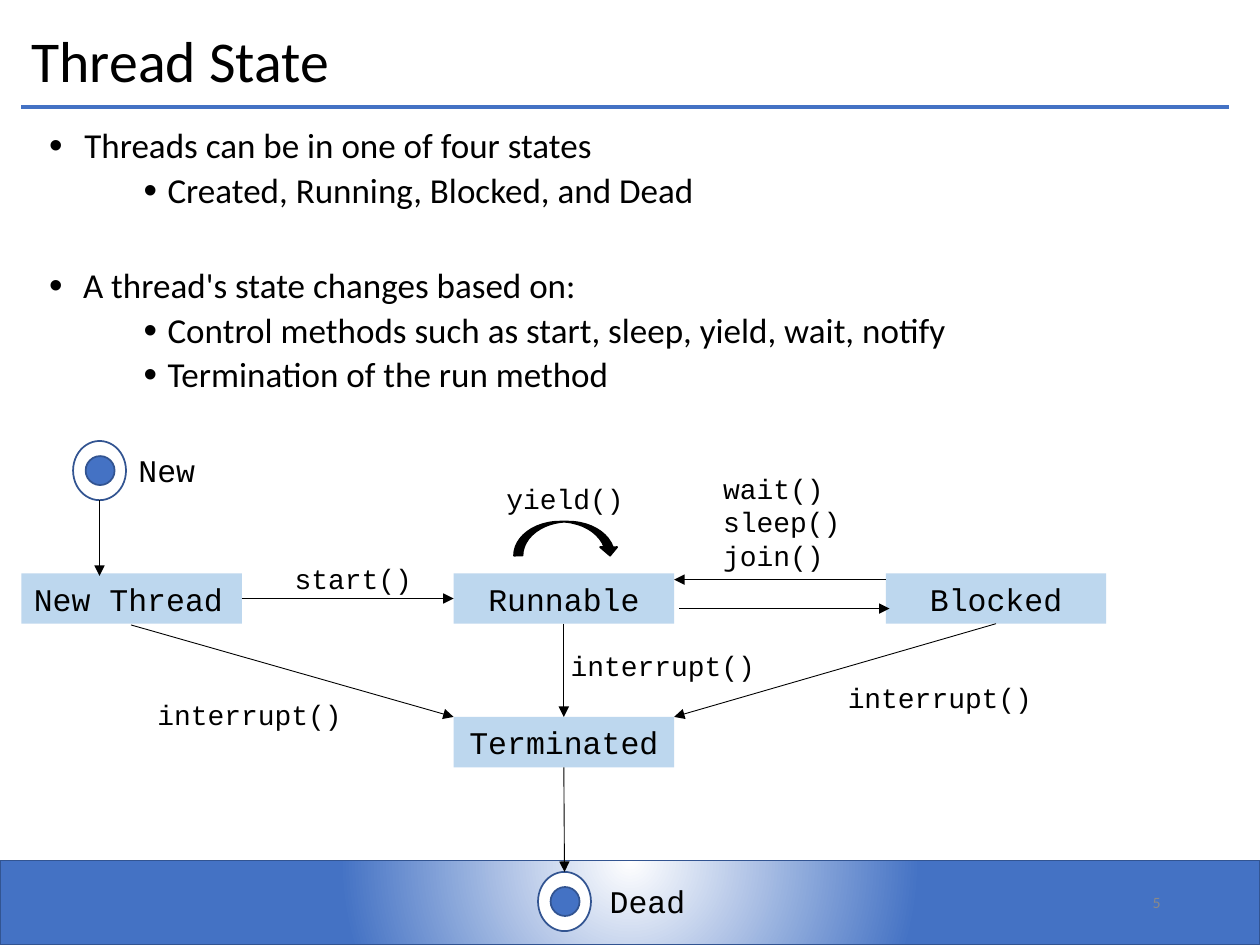
from typing import NamedTuple, Optional

from lxml import etree
from pptx import Presentation
from pptx.dml.color import RGBColor
from pptx.enum.shapes import MSO_CONNECTOR, MSO_SHAPE
from pptx.enum.text import MSO_ANCHOR, PP_ALIGN
from pptx.oxml import parse_xml
from pptx.oxml.ns import nsdecls, qn
from pptx.util import Pt

SCALE = 9144  # EMU per px, 100 px to the inch
RECT, RING = MSO_SHAPE.RECTANGLE, MSO_SHAPE.FLOWCHART_CONNECTOR
LOOP = MSO_SHAPE.CURVED_DOWN_ARROW
STRAIGHT = MSO_CONNECTOR.STRAIGHT
LEFT, CENTER, RIGHT = PP_ALIGN.LEFT, PP_ALIGN.CENTER, PP_ALIGN.RIGHT
TOP, MIDDLE = MSO_ANCHOR.TOP, MSO_ANCHOR.MIDDLE

BLACK = RGBColor(0x00, 0x00, 0x00)
WHITE = RGBColor(0xFF, 0xFF, 0xFF)
BLUE = RGBColor(0x44, 0x72, 0xC4)
NAVY = RGBColor(0x32, 0x54, 0x91)
PALE = RGBColor(0xBD, 0xD7, 0xEE)
GREY = RGBColor(0x89, 0x89, 0x89)
SANS, MONO = "Calibri", "Courier New"


class Box(NamedTuple):
    x: int
    y: int
    w: int
    h: int


class State(NamedTuple):
    name: str
    x: int
    y: int
    align: PP_ALIGN = CENTER


class Label(NamedTuple):
    lines: tuple
    box: Box
    size: int = 16


class Bullet(NamedTuple):
    text: str
    level: int
    margin: int
    hang: int
    before: float


class Arrow(NamedTuple):
    """Ends in px; a joint is a node name and the side it meets."""
    start: tuple
    end: tuple
    tail: Optional[tuple] = None
    head: Optional[tuple] = None


BULLETS = [
    Bullet("Threads can be in one of four states", 0, 28, 28, 7.5),
    Bullet("Created, Running, Blocked, and Dead", 2, 94, 19, 3.8),
    Bullet("A thread's state changes based on:", 0, 27, 27, 33),
    Bullet("Control methods such as start, sleep, yield, wait, notify", 2, 94, 19, 3.8),
    Bullet("Termination of the run method", 2, 94, 19, 3.8),
]
STATES = [
    State("New Thread", 17, 455, LEFT),
    State("Runnable", 360, 455),
    State("Blocked", 703, 455),
    State("Terminated", 360, 569),
]
DOTS = {"New": (58, 350), "Dead": (427, 692)}
ARROWS = [
    Arrow((79, 397), (79, 457)),
    Arrow((192, 475), (360, 475), ("New Thread", 3), ("Runnable", 1)),
    Arrow((539, 483), (706, 483)),
    Arrow((703, 460), (535, 460)),
    Arrow((790, 495), (535, 569), ("Blocked", 2)),
    Arrow((448, 495), (448, 569), ("Runnable", 2), ("Terminated", 0)),
    Arrow((104, 496), (360, 569)),
    Arrow((448, 609), (448, 692), ("Terminated", 2), ("Dead", 0)),
]
LABELS = [
    Label(("New",), Box(100, 353, 75, 40), 18),
    Label(("start()",), Box(224, 441, 142, 37)),
    Label(("wait()", "sleep()", "join()"), Box(564, 369, 142, 91)),
    Label(("yield()",), Box(392, 377, 142, 37)),
    Label(("interrupt()",), Box(663, 535, 179, 37)),
    Label(("interrupt()",), Box(443, 510, 179, 37)),
    Label(("interrupt()",), Box(115, 549, 179, 37)),
    Label(("Dead",), Box(474, 695, 90, 40), 18),
]


def px(*values: int) -> list:
    return [value * SCALE for value in values]


def add_run(para, text: str, size: float, font: str, color=BLACK) -> None:
    run = para.add_run()
    run.text = text
    run.font.size, run.font.name = Pt(size), font
    run.font.color.rgb = color


def add_shape(shapes, kind, box: Box, fill, line=None):
    shape = shapes.add_shape(kind, *px(*box))
    shape.shadow.inherit = False
    shape.fill.solid()
    shape.fill.fore_color.rgb = fill
    if line is None:
        shape.line.fill.background()
    else:
        shape.line.color.rgb, shape.line.width = line, Pt(1)
    return shape


def add_text(shapes, box: Box, anchor=TOP, inset: int = 10):
    frame = shapes.add_textbox(*px(*box)).text_frame
    frame.word_wrap, frame.vertical_anchor = True, anchor
    frame.margin_left = frame.margin_right = inset * SCALE
    return frame


def add_line(shapes, start: tuple, end: tuple, color, width: float):
    line = shapes.add_connector(STRAIGHT, *px(*start, *end))
    line.line.color.rgb, line.line.width = color, Pt(width)
    etree.SubElement(line._element.spPr, qn("a:effectLst"))
    return line


def add_arrow(shapes, arrow: Arrow, nodes: dict) -> None:
    line = add_line(shapes, arrow.start, arrow.end, BLACK, 0.5)
    etree.SubElement(line.line._get_or_add_ln(), qn("a:tailEnd"), type="triangle")
    if arrow.tail:
        line.begin_connect(nodes[arrow.tail[0]], arrow.tail[1])
    if arrow.head:
        line.end_connect(nodes[arrow.head[0]], arrow.head[1])


def add_dot(shapes, x: int, y: int):
    """Draw a ring with a filled core and return the ring."""
    group = shapes.add_group_shape().shapes
    ring = add_shape(group, RING, Box(x, y, 42, 47), WHITE, NAVY)
    add_shape(group, RING, Box(x + 10, y + 12, 23, 23), BLUE, NAVY)
    return ring


def add_state(shapes, state: State):
    shape = add_shape(shapes, RECT, Box(state.x, state.y, 175, 40), PALE)
    para = shape.text_frame.paragraphs[0]
    para.alignment = state.align
    add_run(para, state.name, 18, MONO)
    return shape


def add_label(shapes, label: Label) -> None:
    frame = add_text(shapes, label.box)
    for i, text in enumerate(label.lines):
        para = frame.add_paragraph() if i else frame.paragraphs[0]
        add_run(para, text, label.size, MONO)


def add_bullet(para, item: Bullet) -> None:
    para.level, para.line_spacing = item.level, 0.9
    para.space_before = Pt(item.before)
    props = para._p.get_or_add_pPr()
    props.set("marL", str(item.margin * SCALE))
    props.set("indent", str(-item.hang * SCALE))
    color = etree.SubElement(props, qn("a:buClr"))
    etree.SubElement(color, qn("a:srgbClr"), val=str(BLACK))
    etree.SubElement(props, qn("a:buSzPct"), val="110000")
    etree.SubElement(props, qn("a:buFont"), typeface="Arial")
    etree.SubElement(props, qn("a:buChar"), char="•")
    add_run(para, item.text, 20, SANS)


def add_footer(shapes) -> None:
    bar = add_shape(shapes, RECT, Box(0, 683, 1000, 67), BLUE, NAVY)
    glow = parse_xml(
        f'<a:gradFill {nsdecls("a")} rotWithShape="1"><a:gsLst>'
        f'<a:gs pos="0"><a:srgbClr val="{WHITE}"/></a:gs>'
        f'<a:gs pos="46000"><a:srgbClr val="{BLUE}"/></a:gs></a:gsLst>'
        '<a:path path="circle"><a:fillToRect l="50000" t="-80000" '
        'r="50000" b="180000"/></a:path></a:gradFill>')
    props = bar._element.spPr
    props.replace(props.find(qn("a:solidFill")), glow)
    para = add_text(shapes, Box(706, 696, 225, 40), MIDDLE).paragraphs[0]
    para.alignment = RIGHT
    add_run(para, "5", 9, SANS, GREY)


def main() -> None:
    deck = Presentation()
    deck.slide_width, deck.slide_height = px(1000, 750)
    shapes = deck.slides.add_slide(deck.slide_layouts[6]).shapes
    add_footer(shapes)
    title = add_text(shapes, Box(17, 17, 862, 68), MIDDLE, 8).paragraphs[0]
    title.line_spacing = 0.9
    add_run(title, "Thread State", 33, SANS)
    body = add_text(shapes, Box(31, 97, 900, 211), inset=8)
    for i, item in enumerate(BULLETS):
        add_bullet(body.add_paragraph() if i else body.paragraphs[0], item)
    add_line(shapes, (17, 85), (975, 85), BLUE, 2.25)
    nodes = {state.name: add_state(shapes, state) for state in STATES}
    nodes.update({name: add_dot(shapes, *spot) for name, spot in DOTS.items()})
    for arrow in ARROWS:
        add_arrow(shapes, arrow, nodes)
    for label in LABELS:
        add_label(shapes, label)
    add_shape(shapes, LOOP, Box(408, 414, 83, 27), BLACK, BLACK)
    deck.save("out.pptx")


if __name__ == "__main__":
    main()
